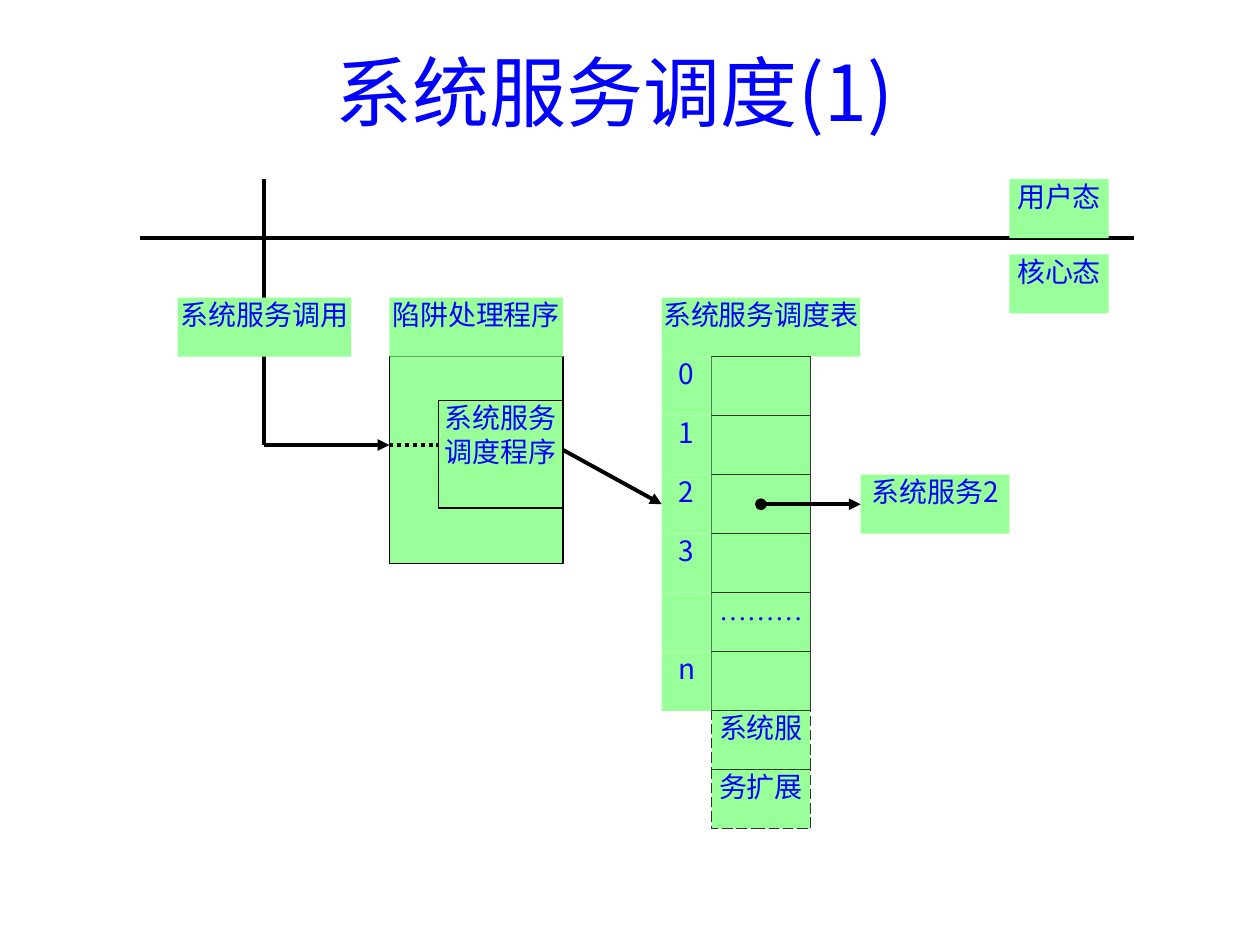
from lxml import etree
from pptx import Presentation
from pptx import util as u
from pptx.dml.color import RGBColor
from pptx.enum import dml, shapes, text
from pptx.oxml import ns

BLUE = RGBColor(0x00, 0x00, 0xFF)
GREEN = RGBColor(0x99, 0xFF, 0x99)
BLACK = RGBColor(0x00, 0x00, 0x00)
GRAY = RGBColor(0x33, 0x33, 0x33)
SANS = "Noto Sans CJK JP"
SERIF = "Times New Roman"

ROW = 1.19
HEAD_Y = 6
TABLE_Y = HEAD_Y + ROW
INDEX_X, INDEX_W = 13.34, 1
SLOT_X, SLOT_W = 14.34, 2
CALL_X, CALL_Y = 5.33, 8.97
TRAP_X, TRAP_W = 7.85, 3.5
DISPATCH_X = 8.84
SERVICE_X = 17.35
MODE_X = 20.35


class Deck:
    def __init__(self, slide):
        self.s = slide

    def label(self, sp, lines, size, font, **frame):
        tf = sp.text_frame
        fmt = dict(word_wrap=True, margin_left=0, margin_right=0,
                   margin_top=0, margin_bottom=0,
                   vertical_anchor=text.MSO_ANCHOR.TOP)
        for name, value in {**fmt, **frame}.items():
            setattr(tf, name, value)
        for i, line in enumerate(lines):
            p = tf.paragraphs[0] if i == 0 else tf.add_paragraph()
            p.alignment = text.PP_ALIGN.CENTER
            r = p.add_run()
            r.text = line
            for name, value in dict(name=font, size=u.Pt(size)).items():
                setattr(r.font, name, value)
            r.font.color.rgb = BLUE
            ea = etree.SubElement(r.font._element, ns.qn("a:ea"))
            ea.set("typeface", font)

    def title(self, x, y, w, h, line):
        sp = self.s.shapes.add_textbox(*map(u.Cm, (x, y, w, h)))
        self.label(sp, [line], 44, SANS, margin_bottom=u.Cm(1.83),
                   vertical_anchor=text.MSO_ANCHOR.MIDDLE)

    def box(self, x, y, w, h, *lines, edge=None, dash=None, font=SANS):
        sp = self.s.shapes.add_shape(shapes.MSO_SHAPE.RECTANGLE,
                                     *map(u.Cm, (x, y, w, h)))
        sp.shadow.inherit = False
        sp.fill.solid()
        sp.fill.fore_color.rgb = GREEN
        if edge is None:
            sp.line.fill.background()
        else:
            sp.line.color.rgb = edge
            sp.line.width = u.Pt(0.75)
            sp.line.dash_style = dash
        self.label(sp, lines, 16, font)
        return sp

    def line(self, x1, y1, x2, y2, head=None, tail=None, dash=None, to=None):
        cn = self.s.shapes.add_connector(shapes.MSO_CONNECTOR.STRAIGHT,
                                         *map(u.Cm, (x1, y1, x2, y2)))
        if to is not None:
            cn.end_connect(to, 1)
        cn.line.color.rgb = BLACK
        cn.line.width = u.Pt(2.25)
        cn.line.dash_style = dash
        ln = cn.line._get_or_add_ln()
        for tag, kind in (("a:headEnd", head), ("a:tailEnd", tail)):
            if kind:
                etree.SubElement(ln, ns.qn(tag)).set("type", kind)
        etree.SubElement(cn._element.spPr, ns.qn("a:effectLst"))


def main():
    prs = Presentation()
    prs.slide_width, prs.slide_height = u.Cm(25.4), u.Cm(19.05)
    d = Deck(prs.slides.add_slide(prs.slide_layouts[6]))

    d.title(0.64, 1.47, 23.5, 2.54, "系统服务调度(1)")

    d.line(2.82, 4.8, 22.86, 4.8)
    d.box(MODE_X, 3.61, 2, ROW, "用户态")
    d.box(MODE_X, 5.13, 2, ROW, "核心态")

    d.line(CALL_X, 3.61, CALL_X, CALL_Y)
    d.box(3.58, HEAD_Y, TRAP_W, ROW, "系统服务调用")
    d.line(CALL_X, CALL_Y, TRAP_X, CALL_Y, tail="triangle")

    d.box(TRAP_X, TABLE_Y, TRAP_W, 4.17, edge=BLACK)
    d.box(TRAP_X, HEAD_Y, TRAP_W, ROW, "陷阱处理程序")
    d.box(DISPATCH_X, 8.08, 2.51, 2.16, "系统服务", "调度程序", edge=BLACK)
    d.line(TRAP_X, CALL_Y, DISPATCH_X, CALL_Y,
           dash=dml.MSO_LINE.ROUND_DOT)

    d.box(INDEX_X, HEAD_Y, 4, ROW, "系统服务调度表")
    indexes = {}
    for i, label in enumerate(["0", "1", "2", "3", "", "n"]):
        y = TABLE_Y + i * ROW
        slot = [] if label else ["………"]
        d.box(SLOT_X, y, SLOT_W, ROW, *slot, edge=GRAY, font=SERIF)
        indexes[label] = d.box(INDEX_X, y, INDEX_W, ROW,
                               *([label] if label else []))
    for i, label in enumerate(["系统服", "务扩展"], start=6):
        d.box(SLOT_X, TABLE_Y + i * ROW, SLOT_W, ROW, label,
              edge=GRAY, dash=dml.MSO_LINE.LONG_DASH)

    service_y = TABLE_Y + 2 * ROW
    mid_y = service_y + ROW / 2
    service = d.box(SERVICE_X, service_y, 3, ROW, "系统服务2")
    d.line(TRAP_X + TRAP_W, 9.07, INDEX_X, mid_y,
           tail="triangle", to=indexes["2"])
    d.line(SLOT_X + SLOT_W / 2, mid_y, SERVICE_X, mid_y,
           head="oval", tail="triangle", to=service)

    prs.save("out.pptx")


if __name__ == "__main__":
    main()
